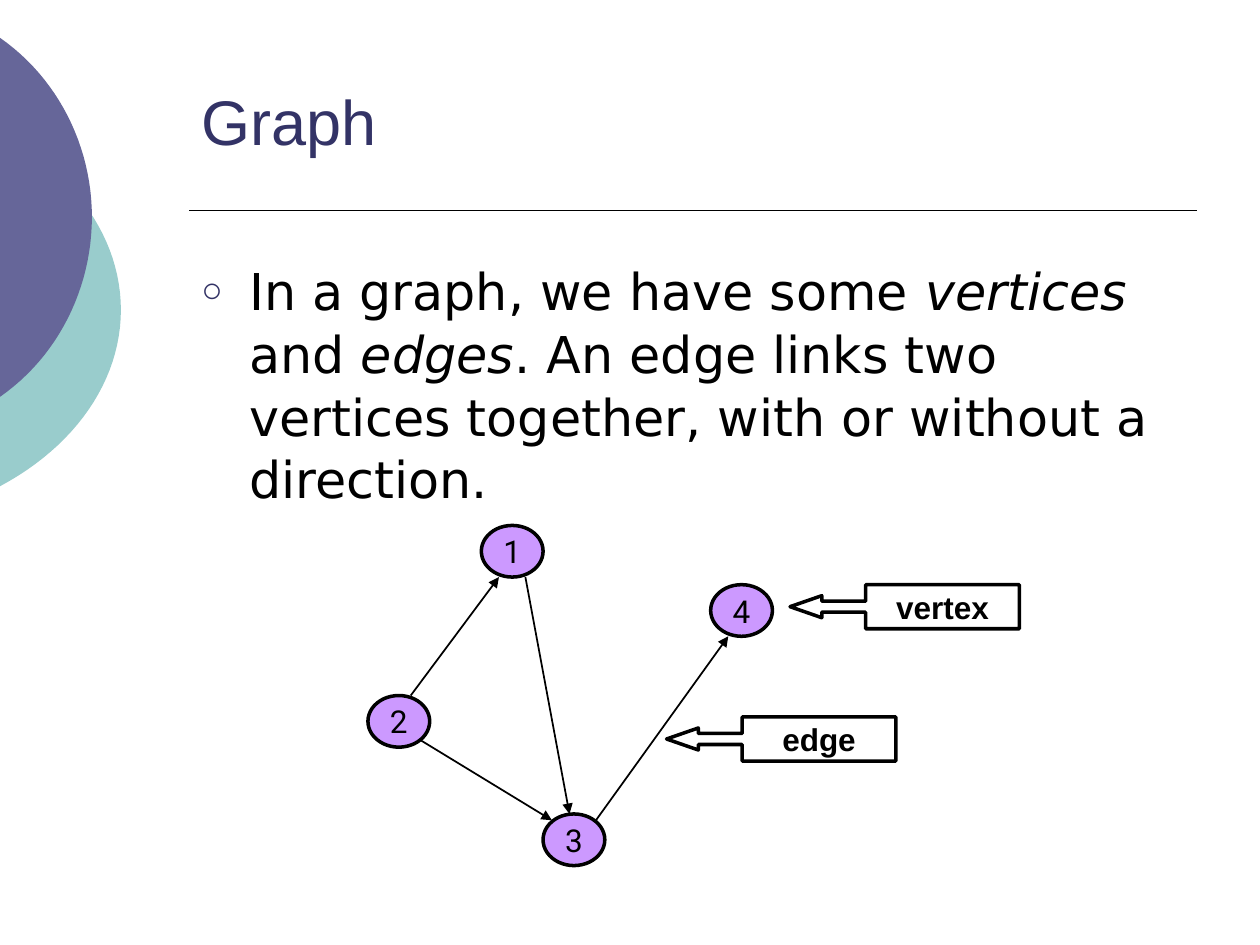
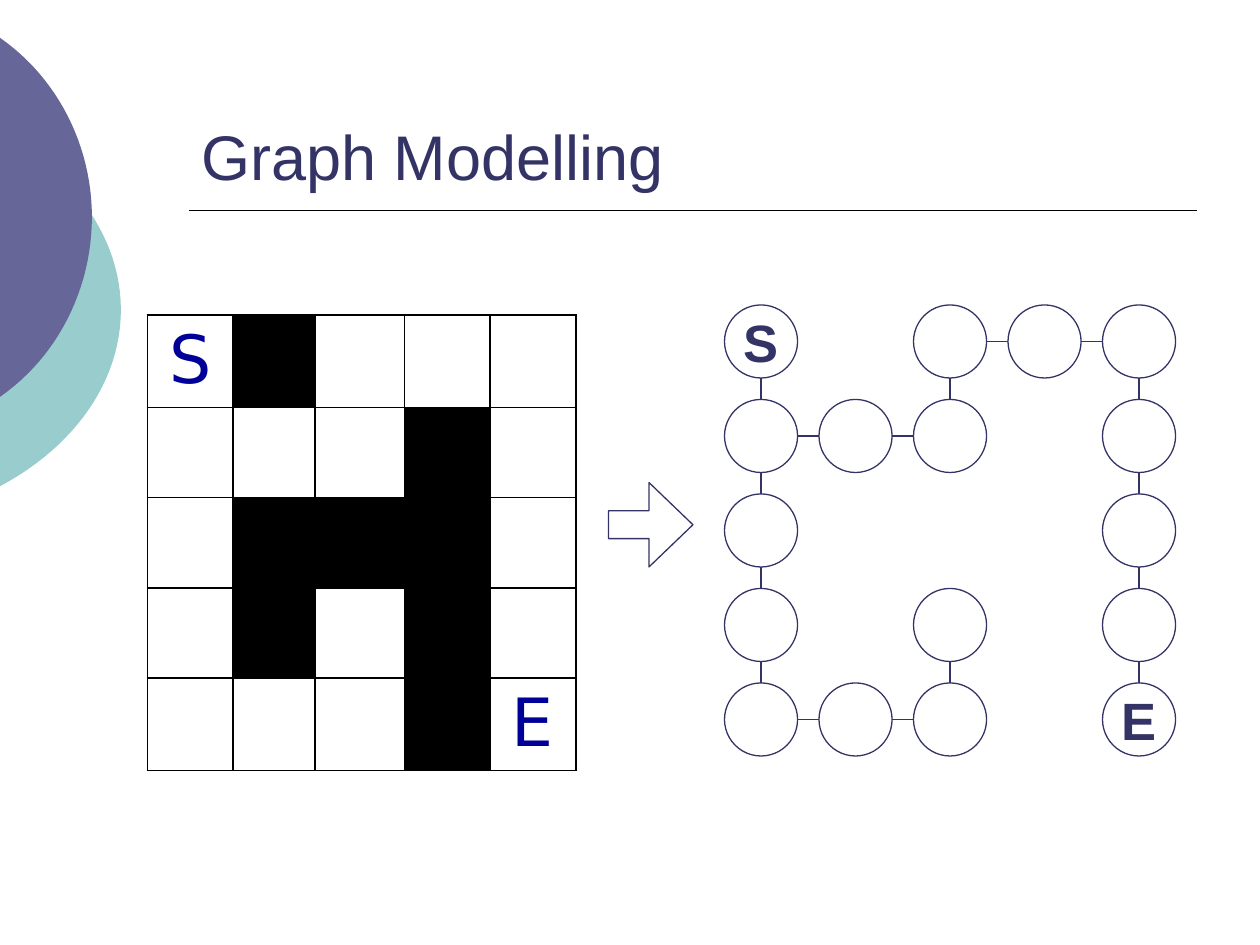
from typing import NamedTuple, Optional

from lxml import etree
from pptx import Presentation
from pptx.dml.color import RGBColor
from pptx.enum.shapes import MSO_CONNECTOR, MSO_SHAPE
from pptx.enum.text import MSO_ANCHOR, PP_ALIGN
from pptx.oxml.ns import qn
from pptx.util import Inches, Pt

BLACK = RGBColor(0x00, 0x00, 0x00)
WHITE = RGBColor(0xFF, 0xFF, 0xFF)
INDIGO = RGBColor(0x33, 0x33, 0x66)
SLATE = RGBColor(0x66, 0x66, 0x99)
TEAL = RGBColor(0x99, 0xCC, 0xCC)
LILAC = RGBColor(0xCC, 0x99, 0xFF)
BLUE = RGBColor(0x00, 0x00, 0x99)

ELLIPSE = MSO_SHAPE.OVAL
CALLOUT = MSO_SHAPE.LEFT_ARROW_CALLOUT
RIGHT_ARROW = MSO_SHAPE.RIGHT_ARROW
STRAIGHT = MSO_CONNECTOR.STRAIGHT
CENTER = PP_ALIGN.CENTER
TOP, MIDDLE, BOTTOM = MSO_ANCHOR.TOP, MSO_ANCHOR.MIDDLE, MSO_ANCHOR.BOTTOM

TITLE_FONT = {"name": "Arial", "size": Pt(36)}
BODY_FONT = {"name": "DejaVu Sans", "size": Pt(29)}
VERTEX_FONT = {"name": "Roboto", "size": Pt(18)}
CALLOUT_FONT = {"name": "Arial", "size": Pt(18), "bold": True}
MAZE_FONT = {"name": "DejaVu Sans", "size": Pt(38)}
NODE_FONT = {"name": "Arial", "size": Pt(30), "bold": True}

Point = tuple[float, float]


class Look(NamedTuple):
    fill: Optional[RGBColor]
    line: RGBColor
    weight: float
    font: dict
    ink: RGBColor


class Place(NamedTuple):
    left: float
    top: float
    width: float
    height: float


class Label(NamedTuple):
    text: str
    left: float
    top: float


class Edge(NamedTuple):
    start: Point
    end: Point


class Arc(NamedTuple):
    """Right-hand part of a disc cut off by the slide's left side."""
    color: RGBColor
    curves: list[list[Point]]


VERTEX = Look(LILAC, BLACK, 2, VERTEX_FONT, BLACK)
CALLOUT_BOX = Look(WHITE, BLACK, 2, CALLOUT_FONT, BLACK)
NODE = Look(None, INDIGO, 0.75, NODE_FONT, INDIGO)

ARCS = [
    Arc(TEAL, [[(0, 1.06), (0.6, 1.38), (0.96, 1.9), (0.96, 2.46)],
               [(0.96, 2.46), (0.96, 3.02), (0.6, 3.54), (0, 3.86)]]),
    Arc(SLATE, [[(0, 0.3), (0.46, 0.62), (0.73, 1.16), (0.73, 1.72)],
                [(0.73, 1.72), (0.73, 2.29), (0.46, 2.83), (0, 3.15)]]),
]
ARC_STEPS = 24

VERTICES = [Label("1", 3.82, 4.17), Label("2", 2.92, 5.52),
            Label("4", 5.64, 4.64), Label("3", 4.31, 6.46)]
EDGES = [Edge((3.33, 5.87), (4.38, 6.51)), Edge((4.73, 6.51), (5.78, 5.05)),
         Edge((3.26, 5.52), (3.96, 4.58)), Edge((4.17, 4.58), (4.52, 6.46))]
CALLOUTS = [Label("vertex", 6.27, 4.64), Label("edge", 5.29, 5.69)]
DEFINITION = [("In a graph, we have some ", False), ("vertices", True),
              (" and ", False), ("edges", True),
              (". An edge links two vertices together, "
               "with or without a direction.", False)]

WALL = "#"
OPEN = "."
MAZE = ["S#...",
        "...#.",
        ".###.",
        ".#.#.",
        "...#E"]
MAZE_WIDTHS = [0.68, 0.65, 0.71, 0.68, 0.68]
MAZE_HEIGHT = 3.58
NODE_LEFT, NODE_TOP = 5.75, 2.42
NODE_PITCH, NODE_SIZE = 0.75, 0.58


def add_span(para, text: str, style: dict, color: RGBColor) -> None:
    span = para.add_run()
    span.text = text
    for name, value in style.items():
        setattr(span.font, name, value)
    span.font.color.rgb = color


def add_box(page, place: Place, anchor):
    box = page.shapes.add_textbox(*map(Inches, place))
    box.text_frame.word_wrap = True
    box.text_frame.vertical_anchor = anchor
    return box.text_frame.paragraphs[0]


def add_figure(page, kind, place: Place, look: Look, text: str = "",
               adjustments: tuple = ()):
    figure = page.shapes.add_shape(kind, *map(Inches, place))
    figure.shadow.inherit = False
    for index, value in enumerate(adjustments):
        figure.adjustments[index] = value
    if look.fill is None:
        figure.fill.background()
    else:
        figure.fill.solid()
        figure.fill.fore_color.rgb = look.fill
    figure.line.color.rgb = look.line
    figure.line.width = Pt(look.weight)
    if text:
        frame = figure.text_frame
        frame.word_wrap = False
        frame.vertical_anchor = MIDDLE
        frame.paragraphs[0].alignment = CENTER
        add_span(frame.paragraphs[0], text, look.font, look.ink)


def add_line(page, edge: Edge, color: RGBColor, weight: float,
             arrow: bool = False) -> None:
    line = page.shapes.add_connector(
        STRAIGHT, *map(Inches, edge.start + edge.end))
    line.line.color.rgb = color
    line.line.width = Pt(weight)
    if arrow:
        etree.SubElement(line.line._get_or_add_ln(), qn("a:tailEnd"),
                         type="triangle")
    etree.SubElement(line._element.spPr, qn("a:effectLst"))


def curve_points(curve: list[Point]) -> list[Point]:
    """Sample a cubic Bézier curve in EMU."""
    points = []
    for step in range(ARC_STEPS + 1):
        t = step / ARC_STEPS
        weights = ((1 - t) ** 3, 3 * t * (1 - t) ** 2,
                   3 * t ** 2 * (1 - t), t ** 3)
        points.append(tuple(
            Inches(sum(w * point[axis] for w, point in zip(weights, curve)))
            for axis in (0, 1)))
    return points


def add_arc(page, arc: Arc) -> None:
    points = [point for curve in arc.curves for point in curve_points(curve)]
    builder = page.shapes.build_freeform(*points[0])
    builder.add_line_segments(points[1:], close=True)
    disc = builder.convert_to_shape()
    disc.shadow.inherit = False
    disc.fill.solid()
    disc.fill.fore_color.rgb = arc.color
    disc.line.fill.background()


def add_page(deck, title: str, anchor):
    page = deck.slides.add_slide(deck.slide_layouts[6])
    for arc in ARCS:
        add_arc(page, arc)
    add_line(page, Edge((1.5, 1.67), (9.5, 1.67)), BLACK, 1)
    para = add_box(page, Place(1.5, 0.33, 8, 1.25), anchor)
    add_span(para, title, TITLE_FONT, INDIGO)
    return page


def add_bullet(para) -> None:
    properties = para._p.get_or_add_pPr()
    properties.set("marL", str(Inches(0.38)))
    properties.set("indent", str(-Inches(0.38)))
    color = etree.SubElement(properties, qn("a:buClr"))
    etree.SubElement(color, qn("a:srgbClr"), val=str(INDIGO))
    etree.SubElement(properties, qn("a:buSzPct"), val="70000")
    etree.SubElement(properties, qn("a:buFont"), typeface="Arial")
    etree.SubElement(properties, qn("a:buChar"), char="○")


def add_borders(cell) -> None:
    properties = cell._tc.get_or_add_tcPr()
    for side in ("lnL", "lnR", "lnT", "lnB"):
        border = etree.SubElement(properties, qn(f"a:{side}"), w=str(Pt(1)))
        fill = etree.SubElement(border, qn("a:solidFill"))
        etree.SubElement(fill, qn("a:srgbClr"), val=str(BLACK))


def add_maze(page) -> None:
    place = Place(1.17, 2.5, sum(MAZE_WIDTHS), MAZE_HEIGHT)
    table = page.shapes.add_table(
        len(MAZE), len(MAZE_WIDTHS), *map(Inches, place)).table
    table.first_row = table.horz_banding = False
    for column, width in zip(table.columns, MAZE_WIDTHS):
        column.width = Inches(width)
    for row, marks in enumerate(MAZE):
        table.rows[row].height = Inches(MAZE_HEIGHT / len(MAZE))
        for column, mark in enumerate(marks):
            cell = table.cell(row, column)
            cell.margin_left = cell.margin_right = Inches(0.08)
            add_borders(cell)
            if mark == WALL:
                cell.fill.solid()
                cell.fill.fore_color.rgb = BLACK
                continue
            cell.fill.background()
            if mark != OPEN:
                para = cell.text_frame.paragraphs[0]
                para.alignment = CENTER
                add_span(para, mark, MAZE_FONT, BLUE)


def add_maze_graph(page) -> None:
    """Draw a node for each open cell and link open neighbours."""
    nodes = {(row, column): mark for row, marks in enumerate(MAZE)
             for column, mark in enumerate(marks) if mark != WALL}
    half = NODE_SIZE / 2
    for (row, column), mark in nodes.items():
        left = NODE_LEFT + column * NODE_PITCH
        top = NODE_TOP + row * NODE_PITCH
        add_figure(page, ELLIPSE, Place(left, top, NODE_SIZE, NODE_SIZE),
                   NODE, "" if mark == OPEN else mark)
        x, y = left + half, top + half
        if (row, column + 1) in nodes:
            add_line(page, Edge((x + half, y), (left + NODE_PITCH, y)),
                     INDIGO, 0.75)
        if (row + 1, column) in nodes:
            add_line(page, Edge((x, y + half), (x, top + NODE_PITCH)),
                     INDIGO, 0.75)


def build_graph_page(deck) -> None:
    page = add_page(deck, "Graph", MIDDLE)
    para = add_box(page, Place(1.5, 2, 8, 4.5), TOP)
    add_bullet(para)
    para.line_spacing = 1.03
    for text, italic in DEFINITION:
        add_span(para, text, BODY_FONT | {"italic": italic}, BLACK)
    for vertex in VERTICES:
        add_figure(page, ELLIPSE, Place(vertex.left, vertex.top, 0.49, 0.41),
                   VERTEX, vertex.text)
    for edge in EDGES:
        add_line(page, edge, BLACK, 1, arrow=True)
    for label in CALLOUTS:
        add_figure(page, CALLOUT, Place(label.left, label.top, 1.82, 0.35),
                   CALLOUT_BOX, label.text, (0.25, 0.25, 0.72, 0.67))


def build_modelling_page(deck) -> None:
    page = add_page(deck, "Graph Modelling", BOTTOM)
    add_maze(page)
    add_figure(page, RIGHT_ARROW, Place(4.83, 3.83, 0.67, 0.67), NODE,
               adjustments=(0.33, 0.52))
    add_maze_graph(page)


def main() -> None:
    deck = Presentation()
    deck.slide_width, deck.slide_height = Inches(10), Inches(7.5)
    build_graph_page(deck)
    build_modelling_page(deck)
    deck.save("out.pptx")


if __name__ == "__main__":
    main()
